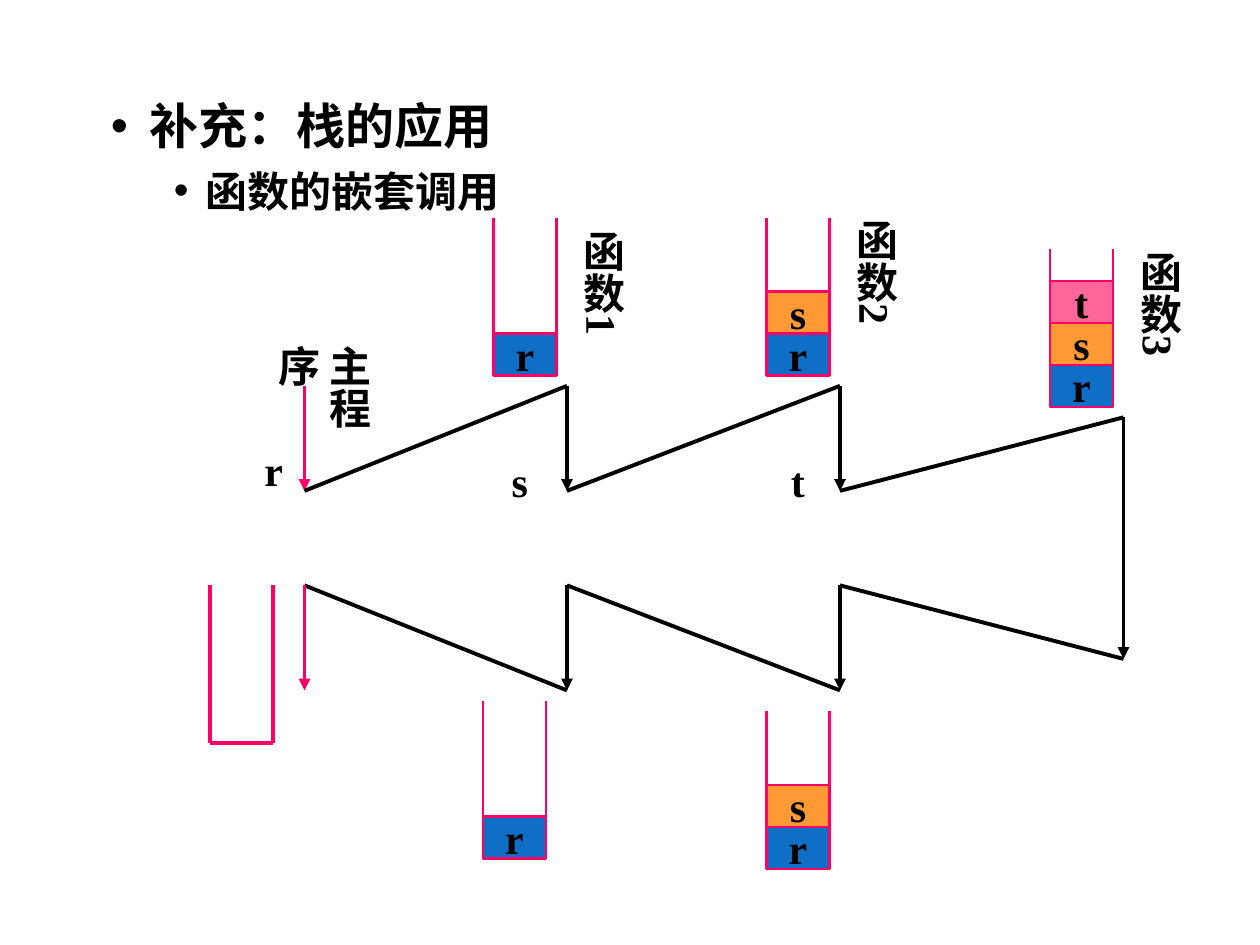
from itertools import pairwise
from lxml import etree
from pptx import Presentation
from pptx.dml.color import RGBColor
from pptx.enum import shapes, text
from pptx.oxml.ns import qn
from pptx.util import Inches, Pt

HUES = {"ink": "000000", "pink": "FF0066", "r": "0F6FC6", "s": "FF9933", "t": "FF6699"}
FONT = "Times New Roman"
CELL = 1 / 12
SHIFT = 0.75
WIDE, TALL, BLOCK = 6, 15, 4


def hue(name):
    """Return the named colour."""
    return RGBColor.from_string(HUES[name])


def col(n):
    """Return the left of a grid column."""
    return Inches(n * CELL)


def row(n):
    """Return the top of a grid row."""
    return Inches((n + SHIFT) * CELL)


def style(para, size=24, align=None):
    """Format a paragraph in bold ink."""
    font = para.font
    font.name, font.size, font.bold = FONT, Pt(size), True
    font.color.rgb = hue("ink")
    para.alignment = align


def stroke(slide, start, end, ink="ink", width=2.25, arrow=False):
    """Draw a line between two grid points."""
    line = slide.shapes.add_connector(
        shapes.MSO_CONNECTOR.STRAIGHT, col(start[0]), row(start[1]), col(end[0]), row(end[1]))
    line.line.color.rgb = hue(ink)
    line.line.width = Pt(width)
    if arrow:
        etree.SubElement(line.line._get_or_add_ln(), qn("a:tailEnd"), type="triangle")
    etree.SubElement(line._element.spPr, qn("a:effectLst"))


def label(slide, words, box, align=None, upright=False):
    """Write a label in a grid box, upright for vertical script."""
    x, y, w, h = box
    frame = slide.shapes.add_textbox(col(x), row(y), col(w), col(h)).text_frame
    frame.word_wrap = True
    frame.auto_size = text.MSO_AUTO_SIZE.SHAPE_TO_FIT_TEXT
    if upright:
        frame._txBody.bodyPr.set("vert", "eaVert")
        frame.margin_left = frame.margin_right = Inches(0.05)
        frame.margin_top = frame.margin_bottom = Inches(0.1)
    frame.text = words
    style(frame.paragraphs[0], align=align)


def stack(slide, x, y, items=""):
    """Draw a stack with its items from the bottom up."""
    base = y + TALL
    width = 1.5 if items else 2.25
    for side in (x, x + WIDE):
        stroke(slide, (side, base), (side, y), "pink", width)
    if not items:
        stroke(slide, (x, base), (x + WIDE, base), "pink", width)
    for i, item in enumerate(items, 1):
        block = slide.shapes.add_shape(
            shapes.MSO_SHAPE.RECTANGLE, col(x), row(base - i * BLOCK), col(WIDE), col(BLOCK))
        block.shadow.inherit = False
        block.fill.solid()
        block.fill.fore_color.rgb = hue(item)
        block.line.color.rgb = hue("pink")
        block.line.width = Pt(width)
        frame = block.text_frame
        frame.word_wrap = False
        frame.vertical_anchor = text.MSO_ANCHOR.MIDDLE
        frame.text = item
        style(frame.paragraphs[0], align=text.PP_ALIGN.CENTER)


def flow(slide, stops):
    """Draw the call path, with arrows on its upright steps."""
    steps = list(pairwise(stops))
    for step in steps:
        start, end = step
        ink = "pink" if step in (steps[0], steps[-1]) else "ink"
        stroke(slide, start, end, ink, arrow=start[0] == end[0])


def heading(slide, box, items):
    """Fill the body placeholder with the bulleted heading."""
    slide.shapes.title._element.getparent().remove(slide.shapes.title._element)
    body = slide.placeholders[1]
    body.left, body.top, body.width, body.height = map(Inches, box)
    frame = body.text_frame
    frame.auto_size = text.MSO_AUTO_SIZE.NONE
    frame.text = "\n".join(words for words, *_ in items)
    for level, (para, item) in enumerate(zip(frame.paragraphs, items)):
        _, size, left, hang, gap = item
        para.level = level
        para.space_before = Pt(gap)
        props = para._p.get_or_add_pPr()
        props.set("marL", str(Inches(left)))
        props.set("indent", str(-Inches(hang)))
        etree.SubElement(props, qn("a:buFont"), typeface="Arial")
        etree.SubElement(props, qn("a:buChar"), char="•")
        style(para, size)


def main():
    """Build the slide."""
    deck = Presentation()
    deck.slide_width, deck.slide_height = Inches(10), Inches(7.5)
    slide = deck.slides.add_slide(deck.slide_layouts[1])
    heading(slide, (0.28, 0.71, 9.3, 1.21),
            [("补充：栈的应用", 28, 0.81, 0.31, 0), ("函数的嵌套调用", 24, 1.25, 0.25, 6)])
    flow(slide, [(29, 36), (29, 46), (54, 36), (54, 46), (80, 36), (80, 46), (107, 39),
                 (107, 62), (80, 55), (80, 65), (54, 55), (54, 65), (29, 55), (29, 65)])
    for x, y, items in [(47, 20, "r"), (73, 20, "rs"), (100, 23, "rst"),
                        (73, 67, "rs"), (46, 66, "r"), (20, 55, "")]:
        stack(slide, x, y, items)
    mid = text.PP_ALIGN.CENTER
    label(slide, "r", (24, 41, 4, 6))
    label(slide, "s", (46, 42, 7, 6), mid)
    label(slide, "t", (73, 42, 6, 6), mid)
    label(slide, "主程序", (29, 31, 7.2, 14), upright=True)
    for i, (x, y) in enumerate([(54, 20), (80, 19), (107, 22)], 1):
        label(slide, f"函数{i}", (x - 0.75, y, 7.2, 18), mid, upright=True)
    deck.save("out.pptx")


if __name__ == "__main__":
    main()
